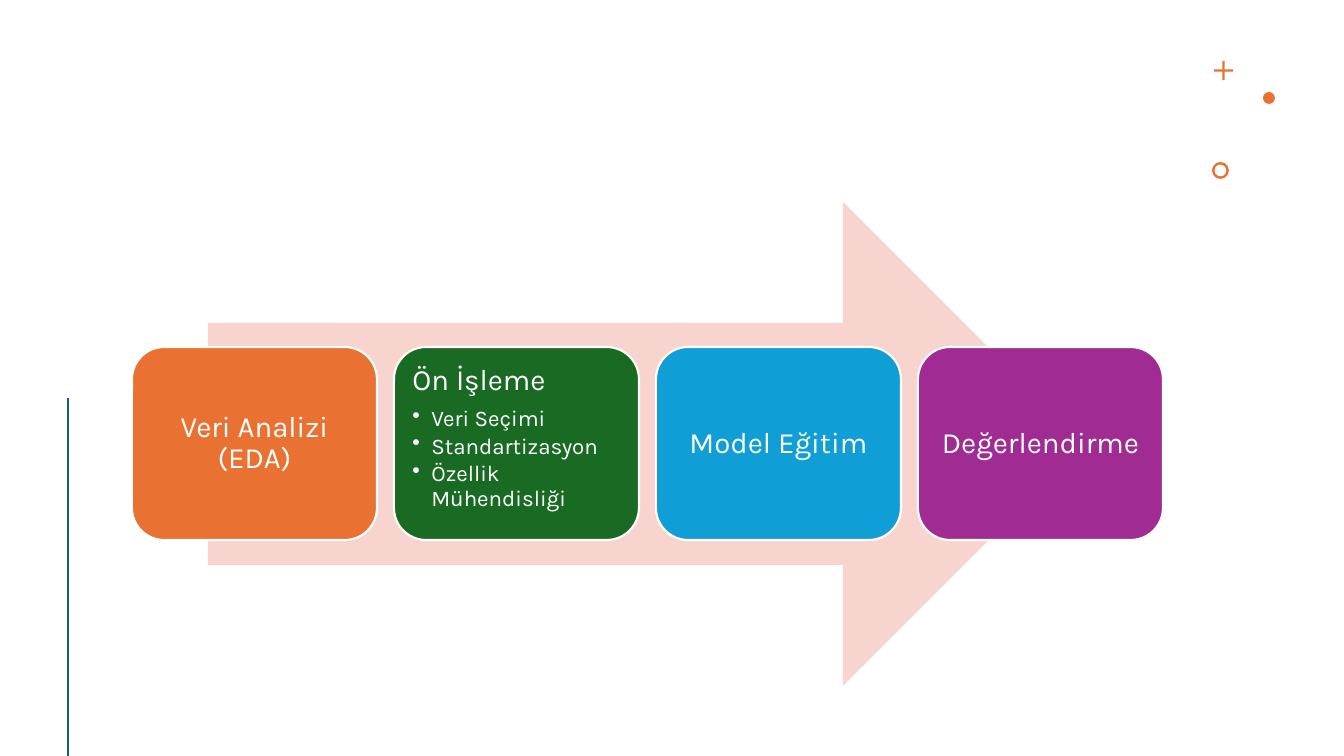
from dataclasses import dataclass

from lxml.etree import SubElement
from pptx import Presentation
from pptx.dml.color import RGBColor
from pptx.enum.shapes import MSO_CONNECTOR, MSO_SHAPE as Shape
from pptx.enum.text import MSO_ANCHOR as Anchor, PP_ALIGN as Align
from pptx.oxml.ns import qn
from pptx.shapes.autoshape import Shape as AutoShape
from pptx.slide import Slide
from pptx.text.text import _Paragraph as Paragraph
from pptx.util import Emu, Pt

WHITE = RGBColor(0xFF, 0xFF, 0xFF)
ORANGE = RGBColor(0xE9, 0x71, 0x32)
GREEN = RGBColor(0x19, 0x6B, 0x24)
BLUE = RGBColor(0x0F, 0x9E, 0xD5)
PURPLE = RGBColor(0xA0, 0x2B, 0x93)
PINK = RGBColor(0xF7, 0xD5, 0xCE)
TEAL = RGBColor(0x15, 0x60, 0x82)

FONT = "Karla"
PX_PER_INCH = 100.8
CARD_LEFT, CARD_TOP, CARD_W, CARD_H = 132, 347, 245, 193
CARD_PITCH = 262
INSET = 9
BULLET_INDENT = 19


@dataclass(frozen=True)
class Figure:
    kind: Shape
    left: int
    top: int
    width: int
    height: int
    color: RGBColor
    adjustment: float | None = None


@dataclass(frozen=True)
class Step:
    title: str
    color: RGBColor
    bullets: tuple[str, ...] = ()


FIGURES = (
    Figure(Shape.CROSS, 1214, 61, 19, 19, ORANGE, 0.44),
    Figure(Shape.OVAL, 1263, 92, 12, 12, ORANGE),
    Figure(Shape.DONUT, 1212, 162, 17, 17, ORANGE, 0.15),
    Figure(Shape.RIGHT_ARROW, 208, 202, 877, 484, PINK),
)
STEPS = (
    Step("Veri Analizi (EDA)", ORANGE),
    Step("Ön İşleme", GREEN,
         ("Veri Seçimi", "Standartizasyon", "Özellik Mühendisliği")),
    Step("Model Eğitim", BLUE),
    Step("Değerlendirme", PURPLE),
)


def px(n: int) -> Emu:
    return Emu(round(n * 914400 / PX_PER_INCH))


def add_figure(s: Slide, fig: Figure) -> AutoShape:
    sp = s.shapes.add_shape(
        fig.kind, px(fig.left), px(fig.top), px(fig.width), px(fig.height))
    sp.shadow.inherit = False
    sp.fill.solid()
    sp.fill.fore_color.rgb = fig.color
    sp.line.fill.background()
    if fig.adjustment is not None:
        sp.adjustments[0] = fig.adjustment
    return sp


def add_accent_line(s: Slide, x: int, top: int, bottom: int) -> None:
    line = s.shapes.add_connector(
        MSO_CONNECTOR.STRAIGHT, px(x), px(top), px(x), px(bottom))
    line.line.color.rgb = TEAL
    line.line.width = Pt(2)
    SubElement(line.element.spPr, qn("a:effectLst"))


def write(p: Paragraph, text: str, size: int, align: Align, after: float) -> None:
    p.text = text
    p.alignment = align
    p.line_spacing = 0.9
    p.space_after = Pt(after)
    p.font.name = FONT
    p.font.size = Pt(size)
    p.font.color.rgb = WHITE


def add_bullet(p: Paragraph) -> None:
    pPr = p._p.get_or_add_pPr()
    pPr.set("marL", str(px(BULLET_INDENT)))
    pPr.set("indent", str(-px(BULLET_INDENT)))
    bullet = pPr.makeelement(qn("a:buChar"), {"char": "•"})
    pPr.find(qn("a:defRPr")).addprevious(bullet)


def add_step(s: Slide, step: Step, index: int) -> None:
    left = CARD_LEFT + index * CARD_PITCH
    sp = add_figure(s, Figure(Shape.ROUNDED_RECTANGLE, left, CARD_TOP,
                              CARD_W, CARD_H, step.color))
    sp.line.color.rgb = WHITE
    sp.line.width = Pt(1.5)
    tf = sp.text_frame
    tf.word_wrap = True
    tf.margin_left = tf.margin_right = px(INSET)
    tf.margin_top = tf.margin_bottom = px(INSET)
    tf.vertical_anchor = Anchor.TOP if step.bullets else Anchor.MIDDLE
    align = Align.LEFT if step.bullets else Align.CENTER
    write(tf.paragraphs[0], step.title, 21, align, 7.35)
    for text in step.bullets:
        p = tf.add_paragraph()
        p.level = 1
        write(p, text, 16, Align.LEFT, 2.4)
        add_bullet(p)


def main() -> None:
    prs = Presentation()
    prs.slide_width, prs.slide_height = px(1344), px(756)
    s = prs.slides.add_slide(prs.slide_layouts[6])
    for fig in FIGURES:
        add_figure(s, fig)
    add_accent_line(s, 68, 398, 756)
    for index, step in enumerate(STEPS):
        add_step(s, step, index)
    prs.save("out.pptx")


if __name__ == "__main__":
    main()
